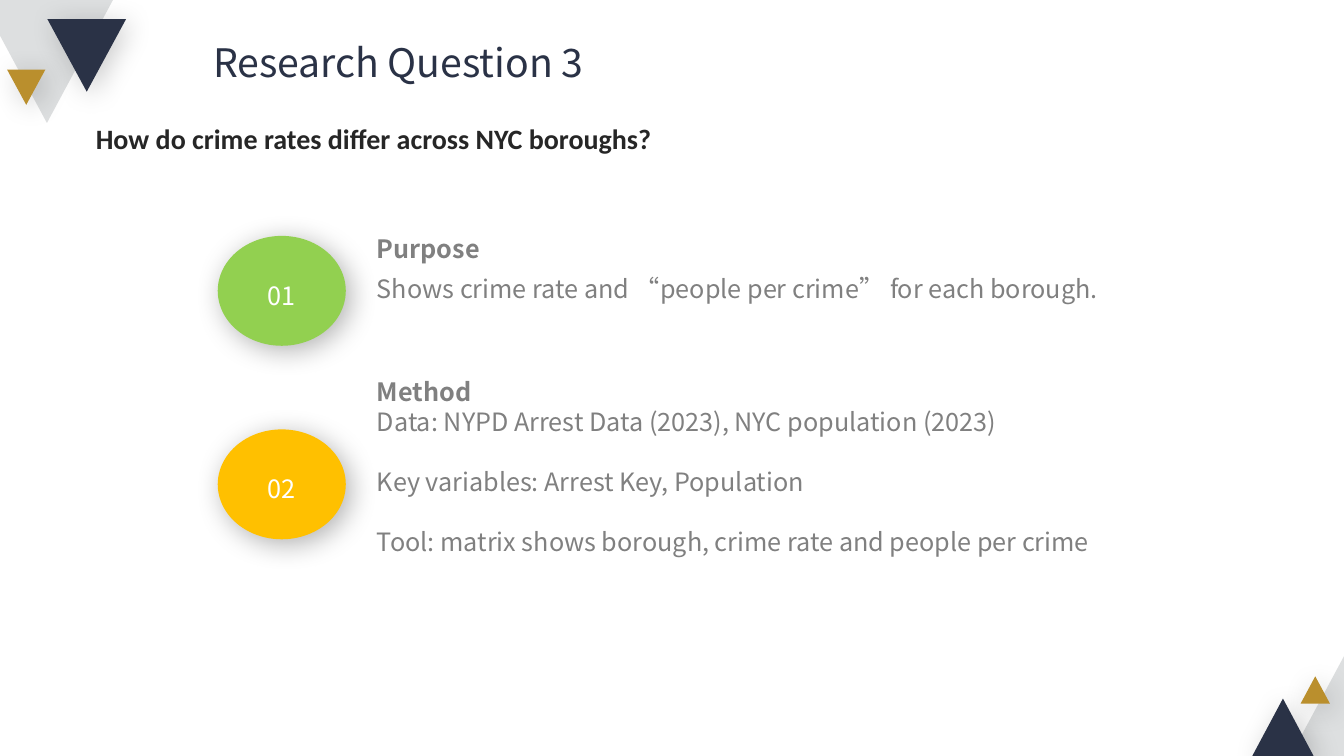
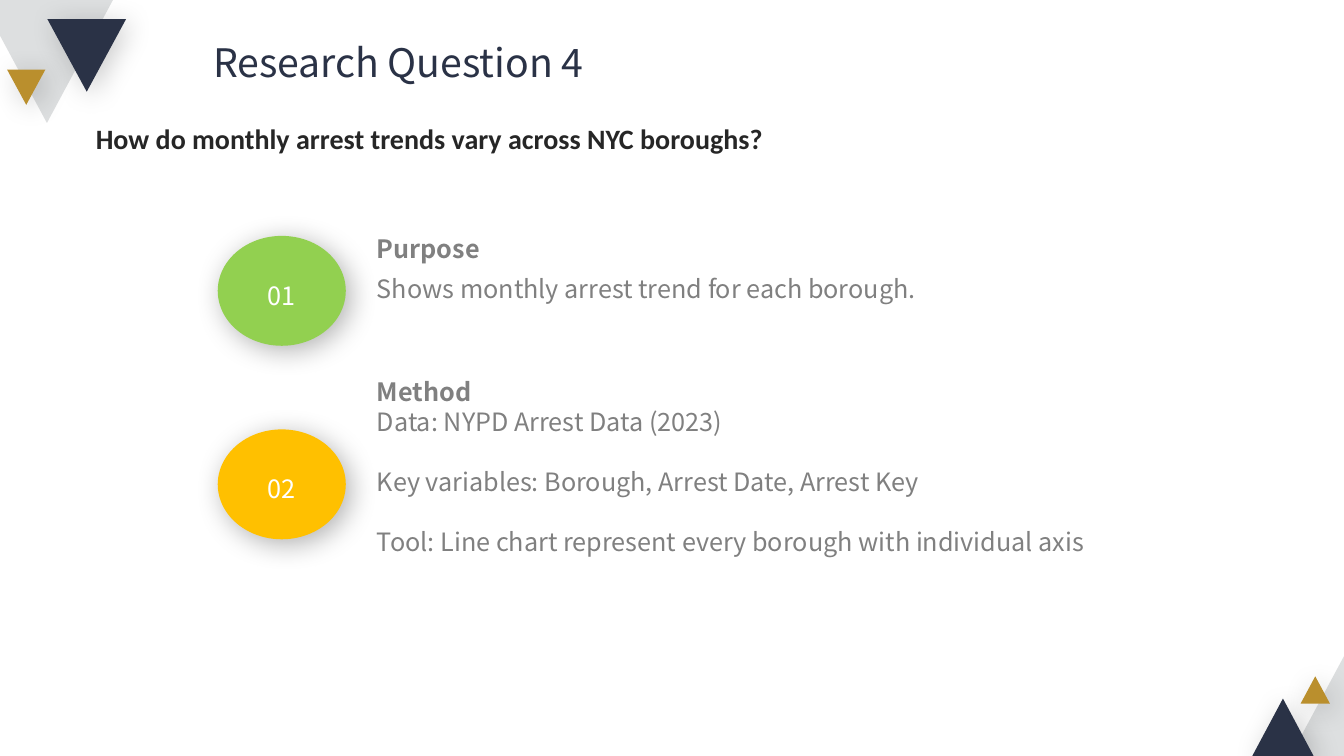
"""Builds two research question slides with a shared corner motif."""
from dataclasses import dataclass

from lxml import etree
from pptx import Presentation
from pptx.dml.color import RGBColor
from pptx.enum.shapes import MSO_SHAPE
from pptx.enum.text import MSO_ANCHOR, MSO_AUTO_SIZE, PP_ALIGN
from pptx.oxml.ns import qn
from pptx.util import Inches, Pt

TRIANGLE = MSO_SHAPE.ISOSCELES_TRIANGLE
OVAL = MSO_SHAPE.OVAL
MIDDLE = MSO_ANCHOR.MIDDLE
GROW = MSO_AUTO_SIZE.SHAPE_TO_FIT_TEXT
LEFT = PP_ALIGN.LEFT
CENTER = PP_ALIGN.CENTER


@dataclass(frozen=True)
class Theme:
    """Colours, fonts and type sizes of the deck."""
    navy: str = "2A3246"
    gold: str = "BA8F2D"
    pale: str = "DDDFE0"
    green: str = "92D050"
    amber: str = "FFC000"
    white: str = "FFFFFF"
    ink: str = "262626"
    grey: str = "808080"
    font: str = "Noto Sans CJK SC"
    question_font: str = "Calibri"
    title_size: int = 28
    question_size: int = 20
    body_size: int = 18
    line_gap: float = 21.5


class SlideBuilder:
    """Holds the style and the current slide."""

    def __init__(self, deck, theme):
        """Keep the deck and its theme."""
        self.deck = deck
        self.theme = theme
        self.page = None

    def new_page(self):
        """Start a blank slide with the corner triangles."""
        theme = self.theme
        self.page = self.deck.slides.add_slide(self.deck.slide_layouts[6])
        triangles = [
            (-0.19, 0, 1.31, 1.22, theme.pale, 180, 0),
            (0.47, 0.19, 0.78, 0.72, theme.navy, 180, 20),
            (0.07, 0.69, 0.38, 0.35, theme.gold, 180, 20),
            (12.67, 6.51, 1.32, 1.23, theme.pale, 0, 0),
            (12.41, 6.93, 0.63, 0.59, theme.navy, 0, 20),
            (12.9, 6.71, 0.29, 0.27, theme.gold, 0, 20),
        ]
        for *place, color, turn, opacity in triangles:
            self.shape(TRIANGLE, place, color, opacity).rotation = turn

    def shape(self, kind, place, color, opacity):
        """Add a filled shape, with a soft shadow if opacity is above zero."""
        shape = self.page.shapes.add_shape(kind, *map(Inches, place))
        shape.shadow.inherit = False
        shape.fill.solid()
        shape.fill.fore_color.rgb = RGBColor.from_string(color)
        shape.line.fill.background()
        if opacity:
            self.cast_shadow(shape, opacity)
        return shape

    def cast_shadow(self, shape, opacity):
        """Give a shape a blurred shadow to its lower right."""
        effects = shape._element.spPr.find(qn("a:effectLst"))
        shadow = etree.SubElement(
            effects, qn("a:outerShdw"), blurRad=str(Pt(20)), dist=str(Pt(5)),
            dir=str(45 * 60000), algn="tl", rotWithShape="0")
        black = etree.SubElement(shadow, qn("a:srgbClr"), val="000000")
        etree.SubElement(black, qn("a:alpha"), val=str(opacity * 1000))

    def text_box(self, place, inset=True):
        """Add a wrapping text box and return its frame."""
        box = self.page.shapes.add_textbox(*map(Inches, place))
        frame = box.text_frame
        frame.word_wrap = True
        frame.auto_size = GROW
        if not inset:
            frame.margin_left = frame.margin_right = 0
            frame.margin_top = frame.margin_bottom = 0
        return frame

    def add_text(self, para, text, size, color, bold=False, font=None,
                 align=LEFT, spacing=1.0):
        """Add one styled run to a paragraph."""
        para.alignment = align
        para.line_spacing = spacing
        span = para.add_run()
        span.text = text
        span.font.name = font or self.theme.font
        span.font.size = Pt(size)
        span.font.bold = bold
        span.font.color.rgb = RGBColor.from_string(color)

    def title(self, text):
        """Add the slide title."""
        frame = self.text_box((0.95, 0.24, 6, 0.62))
        self.add_text(frame.paragraphs[0], text, self.theme.title_size,
                      self.theme.navy, align=CENTER, spacing=1.2)

    def question(self, text):
        """Add the bold question under the title."""
        frame = self.text_box((0.95, 1.21, 11.88, 0.34), inset=False)
        self.add_text(frame.paragraphs[0], text, self.theme.question_size,
                      self.theme.ink, bold=True,
                      font=self.theme.question_font)

    def badge(self, number, top, color):
        """Add a numbered oval."""
        oval = self.shape(OVAL, (2.16, top, 1.27, 1.09), color, 30)
        frame = oval.text_frame
        frame.word_wrap = False
        frame.vertical_anchor = MIDDLE
        self.add_text(frame.paragraphs[0], number, self.theme.body_size,
                      self.theme.white, align=CENTER, spacing=1.3)

    def section(self, place, heading, lines, spacing=1.0):
        """Add a bold heading and its lines, with a gap between the lines."""
        theme = self.theme
        frame = self.text_box(place)
        self.add_text(frame.paragraphs[0], heading, theme.body_size,
                      theme.grey, bold=True, spacing=spacing)
        for index, line in enumerate(lines):
            para = frame.add_paragraph()
            if index:
                para.space_before = Pt(theme.line_gap)
            self.add_text(para, line, theme.body_size, theme.grey,
                          spacing=spacing)

    def research_page(self, title, question, purpose, method):
        """Build one research question slide."""
        self.new_page()
        self.question(question)
        self.title(title)
        self.badge("01", 2.34, self.theme.green)
        self.section((3.64, 2.18, 9.06, 0.85), "Purpose", [purpose], 1.3)
        self.badge("02", 4.26, self.theme.amber)
        self.section((3.64, 3.68, 8.88, 1.92), "Method", method)


def main():
    """Build and save the deck."""
    deck = Presentation()
    deck.slide_width = Inches(13.33)
    deck.slide_height = Inches(7.5)
    builder = SlideBuilder(deck, Theme())
    builder.research_page(
        "Research Question 3",
        "How do crime rates differ across NYC boroughs?",
        "Shows crime rate and “people per crime” for each borough.",
        ["Data: NYPD Arrest Data (2023), NYC population (2023)",
         "Key variables: Arrest Key, Population",
         "Tool: matrix shows borough, crime rate and people per crime"])
    builder.research_page(
        "Research Question 4",
        "How do monthly arrest trends vary across NYC boroughs?",
        "Shows monthly arrest trend for each borough.",
        ["Data: NYPD Arrest Data (2023)",
         "Key variables: Borough, Arrest Date, Arrest Key",
         "Tool: Line chart represent every borough with individual axis"])
    deck.save("out.pptx")


if __name__ == "__main__":
    main()
